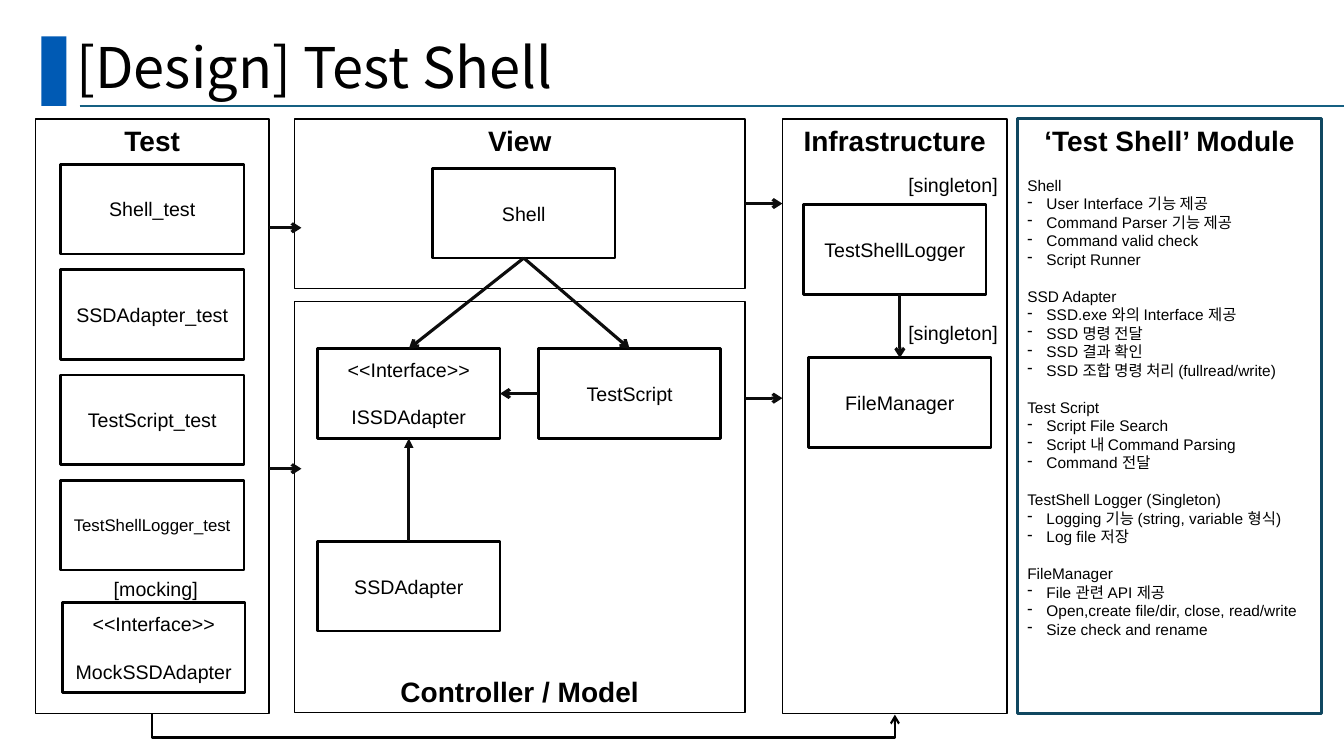
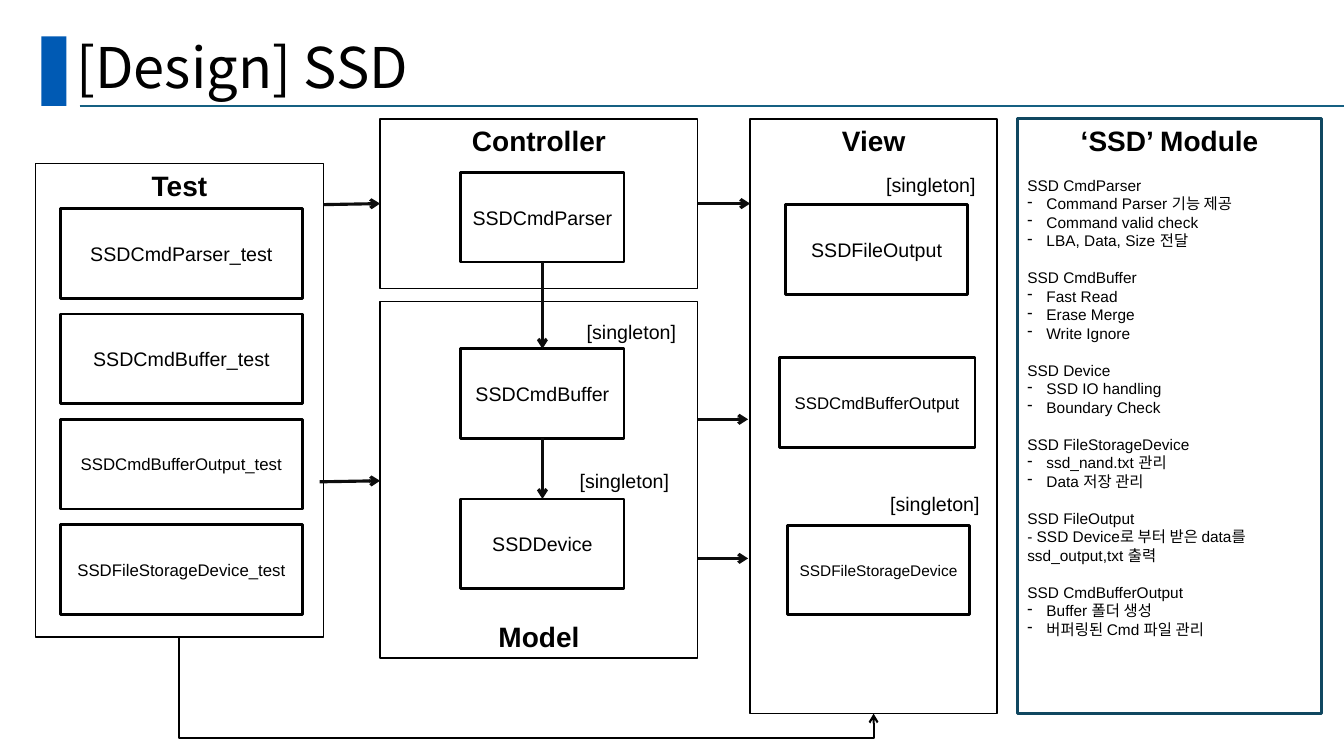
from dataclasses import dataclass

import pptx
import pptx.dml.color
import pptx.enum.shapes
import pptx.enum.text
import pptx.oxml
import pptx.oxml.ns
import pptx.util

Inches = pptx.util.Inches
Pt = pptx.util.Pt
qn = pptx.oxml.ns.qn
Kind = pptx.enum.shapes.MSO_CONNECTOR
Rect = pptx.enum.shapes.MSO_SHAPE.RECTANGLE
Align = pptx.enum.text.PP_ALIGN
Anchor = pptx.enum.text.MSO_ANCHOR


@dataclass(frozen=True)
class Theme:
    ink: str = "000000"
    arrow: str = "0D0D0D"
    bar: str = "005AB4"
    rule: str = "156082"
    frame: str = "104760"
    paper: str = "FFFFFF"
    face: str = "Arial"
    title_face: str = "Noto Sans CJK KR"
    title: float = 40
    head: float = 20
    text: float = 14
    small: float = 12
    note: float = 11
    gap: float = 1.2  # height of a skipped line, in type sizes


T = Theme()


@dataclass(frozen=True)
class Box:
    x: float
    y: float
    w: float
    h: float

    @property
    def right(self):
        return self.x + self.w

    @property
    def base(self):
        return self.y + self.h

    @property
    def mid(self):
        return self.x + self.w / 2

    @property
    def half(self):
        return self.y + self.h / 2

    def sub(self, dx, dy, w=1.81, h=0.89):
        """Box placed by its offset from this one."""
        return Box(self.x + dx, self.y + dy, w, h)

    def place(self):
        return [Inches(n) for n in (self.x, self.y, self.w, self.h)]


def rgb(code):
    return pptx.dml.color.RGBColor.from_string(code)


def style(par, size, bold=False, face=T.face, align=Align.LEFT):
    par.alignment = align
    for run in par.runs:
        run.font.size = Pt(size)
        run.font.bold = bold
        run.font.name = face
        run.font.color.rgb = rgb(T.ink)


def rect(slide, box, line=None, width=1, fill=None):
    shape = slide.shapes.add_shape(Rect, *box.place())
    shape.shadow.inherit = False
    if fill:
        shape.fill.solid()
        shape.fill.fore_color.rgb = rgb(fill)
    else:
        shape.fill.background()
    if line:
        shape.line.color.rgb = rgb(line)
        shape.line.width = Pt(width)
    else:
        shape.line.fill.background()
    shape.text_frame.word_wrap = True
    return shape


def panel(slide, box, text, anchor=Anchor.TOP):
    frame = rect(slide, box, T.ink).text_frame
    frame.vertical_anchor = anchor
    frame.text = text
    style(frame.paragraphs[0], T.head, True, align=Align.CENTER)
    return box


def node(slide, box, text, size=T.text):
    """Class box; lines after the first stand one line apart."""
    frame = rect(slide, box, T.ink, 2).text_frame
    frame.vertical_anchor = Anchor.MIDDLE
    frame.text = text
    for i, par in enumerate(frame.paragraphs):
        style(par, size, align=Align.CENTER)
        if i:
            par.space_before = Pt(size * T.gap)
    return box


def stack(slide, box, names):
    """Test classes in one column, at an equal pitch."""
    for i, (text, size) in enumerate(names):
        spot = box.sub(0.25, 0.45 + 1.045 * i, box.w - 0.5 + 0.04 * (box.w > 2.5))
        node(slide, spot, text, size)


def label(slide, x, y, text="[singleton]", w=1.09):
    frame = slide.shapes.add_textbox(*Box(x, y, w, 0.34).place()).text_frame
    frame.word_wrap = False
    frame.text = text
    style(frame.paragraphs[0], T.text)


def ink_line(line, color, width, tip=None):
    line.line.color.rgb = rgb(color)
    line.line.width = Pt(width)
    props = line.element.spPr
    if tip:
        end = pptx.oxml.ns.qn("a:tailEnd")
        props.find(qn("a:ln")).makeelement(end, {})
        ln = props.find(qn("a:ln"))
        ln.append(ln.makeelement(end, {"type": tip}))
    props.append(props.makeelement(qn("a:effectLst"), {}))


def link(slide, start, end, color=T.arrow, width=2.25, tip="arrow"):
    ends = [Inches(n) for n in (*start, *end)]
    line = slide.shapes.add_connector(Kind.STRAIGHT, *ends)
    ink_line(line, color, width, tip)
    return line


def across(slide, x, y, end):
    link(slide, (x, y), (end, y))


def bend(slide, start, end, low):
    """Elbow arrow that drops to the height low and rises to its end."""
    wide, tall = end[0] - start[0], max(end[1] - start[1], 0.01)
    x = (start[0] + end[0] - tall) / 2
    y = start[1] + (tall - wide) / 2
    ends = [Inches(n) for n in (x, y, x + tall, y + wide)]
    line = slide.shapes.add_connector(Kind.ELBOW, *ends)
    props = line.element.spPr
    form = props.find(qn("a:xfrm"))
    form.set("rot", str(270 * 60000))
    form.set("flipH", "1")
    guides = props.find(qn("a:prstGeom")).find(qn("a:avLst"))
    turn = round((low - start[1]) / tall * 100000)
    guides.append(guides.makeelement(
        qn("a:gd"), {"name": "adj1", "fmla": f"val {turn}"}))
    ink_line(line, T.ink, 1.5, "arrow")


def bullet(par):
    props = par._p.get_or_add_pPr()
    props.set("marL", str(Inches(0.19)))
    props.set("indent", str(-Inches(0.19)))
    tint = props.makeelement(qn("a:buClr"), {})
    tint.append(tint.makeelement(qn("a:srgbClr"), {"val": T.ink}))
    props.append(tint)
    props.append(props.makeelement(qn("a:buChar"), {"char": "-"}))


def notes(slide, box, title, parts):
    """Module list; an item that brings its own dash gets no bullet."""
    frame = rect(slide, box, T.frame, 2, T.paper).text_frame
    frame.vertical_anchor = Anchor.TOP
    frame.text = title
    style(frame.paragraphs[0], T.head, True, align=Align.CENTER)
    for head, items in parts:
        par = frame.add_paragraph()
        par.text = head
        style(par, T.note)
        par.space_before = Pt(T.note * T.gap)
        for item in items:
            par = frame.add_paragraph()
            par.text = item
            style(par, T.note)
            if not item.startswith("- "):
                bullet(par)


def brand(layout, slide):
    """Give the layout its title place, bar and rule."""
    title = layout.placeholders[0]
    title.left, title.top, title.width, title.height = Box(0.66, 0.34, 11.5, 0.71).place()
    bar = rect(slide, Box(0.41, 0.36, 0.25, 0.69), fill=T.bar)
    rule = link(slide, (0.79, 1.05), (13.33, 1.05), T.rule, 1.5, None)
    for i, part in enumerate((bar, rule)):
        part.element.xpath("./*/p:cNvPr")[0].set("id", str(101 + i))
        layout.shapes.element.insert(2 + i, part.element)


def head(slide, text):
    frame = slide.shapes.title.text_frame
    frame.text = text
    frame.auto_size = pptx.enum.text.MSO_AUTO_SIZE.NONE
    frame.vertical_anchor = Anchor.MIDDLE
    par = frame.paragraphs[0]
    par.line_spacing = 0.9
    style(par, T.title, face=T.title_face)


SIDE = Box(10.09, 1.18, 3.02, 5.9)
LOW = 7.32


def shell_slide(slide):
    head(slide, "[Design] Test Shell")
    infra = panel(slide, Box(7.76, 1.18, 2.23, 5.9), "Infrastructure")
    view = panel(slide, Box(2.92, 1.18, 4.47, 1.68), "View")
    model = panel(slide, Box(2.92, 2.99, 4.47, 4.08), "Controller / Model", Anchor.BOTTOM)
    test = panel(slide, Box(0.35, 1.18, 2.32, 5.9), "Test")

    stack(slide, test, [("Shell_test", T.text), ("SSDAdapter_test", T.text),
                        ("TestScript_test", T.text), ("TestShellLogger_test", T.small)])
    label(slide, 1.03, 5.67, "[mocking]", 1.04)
    node(slide, test.sub(0.27, 4.8), "<<Interface>>\nMockSSDAdapter")

    shell = node(slide, view.sub(1.37, 0.49), "Shell")
    face = node(slide, model.sub(0.23, 0.47), "<<Interface>>\nISSDAdapter")
    script = node(slide, model.sub(2.42, 0.47), "TestScript")
    adapt = node(slide, model.sub(0.23, 2.38), "SSDAdapter")
    log = node(slide, infra.sub(0.21, 0.85), "TestShellLogger")
    files = node(slide, infra.sub(0.26, 2.37), "FileManager")
    for y in (1.67, 3.13):
        label(slide, 8.91, y)

    for goal in (face, script):
        link(slide, (shell.mid, shell.base), (goal.mid, goal.y))
    link(slide, (adapt.mid, adapt.y), (face.mid, face.base), tip="triangle")
    link(slide, (script.x, script.half), (face.right, face.half))
    link(slide, (files.mid, log.base), (files.mid, files.y))
    for y in (2.02, 3.95):
        across(slide, view.right, y, infra.x)
    for y in (2.26, 4.65):
        across(slide, test.right, y, 2.99)
    bend(slide, (test.mid, test.base), (infra.mid, infra.base), LOW)

    notes(slide, SIDE, "‘Test Shell’ Module", [
        ("Shell", ["User Interface 기능 제공", "Command Parser 기능 제공",
                   "Command valid check", "Script Runner"]),
        ("SSD Adapter", ["SSD.exe 와의 Interface 제공", "SSD 명령 전달", "SSD 결과 확인",
                         "SSD 조합 명령 처리 (fullread/write)"]),
        ("Test Script", ["Script File Search", "Script 내 Command Parsing", "Command 전달"]),
        ("TestShell Logger (Singleton)", ["Logging 기능 (string, variable 형식)",
                                          "Log file 저장"]),
        ("FileManager", ["File 관련 API 제공", "Open,create file/dir, close, read/write",
                         "Size check and rename"]),
    ])


def drive_slide(slide):
    head(slide, "[Design] SSD")
    view = panel(slide, Box(7.44, 1.18, 2.45, 5.9), "View")
    control = panel(slide, Box(3.77, 1.18, 3.15, 1.68), "Controller")
    model = panel(slide, Box(3.77, 2.99, 3.15, 3.54), "Model", Anchor.BOTTOM)
    test = panel(slide, Box(0.35, 1.62, 2.86, 4.7), "Test")

    stack(slide, test, [("SSDCmdParser_test", T.text), ("SSDCmdBuffer_test", T.text),
                        ("SSDCmdBufferOutput_test", T.small),
                        ("SSDFileStorageDevice_test", T.small)])
    chain = [node(slide, control.sub(0.8, 0.53, 1.62), "SSDCmdParser"),
             node(slide, model.sub(0.8, 0.47, 1.62), "SSDCmdBuffer"),
             node(slide, model.sub(0.8, 1.96, 1.62), "SSDDevice")]
    node(slide, view.sub(0.35, 0.85), "SSDFileOutput")
    node(slide, view.sub(0.29, 2.37, 1.94), "SSDCmdBufferOutput", T.small)
    node(slide, view.sub(0.37, 4.03), "SSDFileStorageDevice", T.note)
    for spot in ((8.69, 1.67), (8.73, 4.83), (5.72, 3.12), (5.65, 4.6)):
        label(slide, *spot)

    for a, b in zip(chain, chain[1:]):
        link(slide, (a.mid, a.base), (b.mid, b.y))
    for y in (2.02, 4.16, 5.54):
        across(slide, control.right, y, view.x - 0.02 * (y > 3))
    link(slide, (test.right, 2.03), (control.x, 2.02))
    link(slide, (3.17, 4.78), (model.x, 4.77))
    bend(slide, (test.mid, test.base), (view.mid, view.base), LOW)

    notes(slide, SIDE, "‘SSD’ Module", [
        ("SSD CmdParser", ["Command Parser 기능 제공", "Command valid check",
                           "LBA, Data, Size 전달"]),
        ("SSD CmdBuffer", ["Fast Read", "Erase Merge", "Write Ignore"]),
        ("SSD Device", ["SSD IO handling", "Boundary Check"]),
        ("SSD FileStorageDevice", ["ssd_nand.txt 관리", "Data 저장 관리"]),
        ("SSD FileOutput", ["- SSD Device로 부터 받은 data를 ssd_output,txt 출력"]),
        ("SSD CmdBufferOutput", ["Buffer 폴더 생성", "버퍼링된 Cmd 파일 관리"]),
    ])


def main():
    deck = pptx.Presentation()
    deck.slide_width, deck.slide_height = Inches(13.33), Inches(7.5)
    layout = deck.slide_layouts[5]
    first, second = [deck.slides.add_slide(layout) for _ in range(2)]
    brand(layout, first)
    shell_slide(first)
    drive_slide(second)
    deck.save("out.pptx")


if __name__ == "__main__":
    main()
